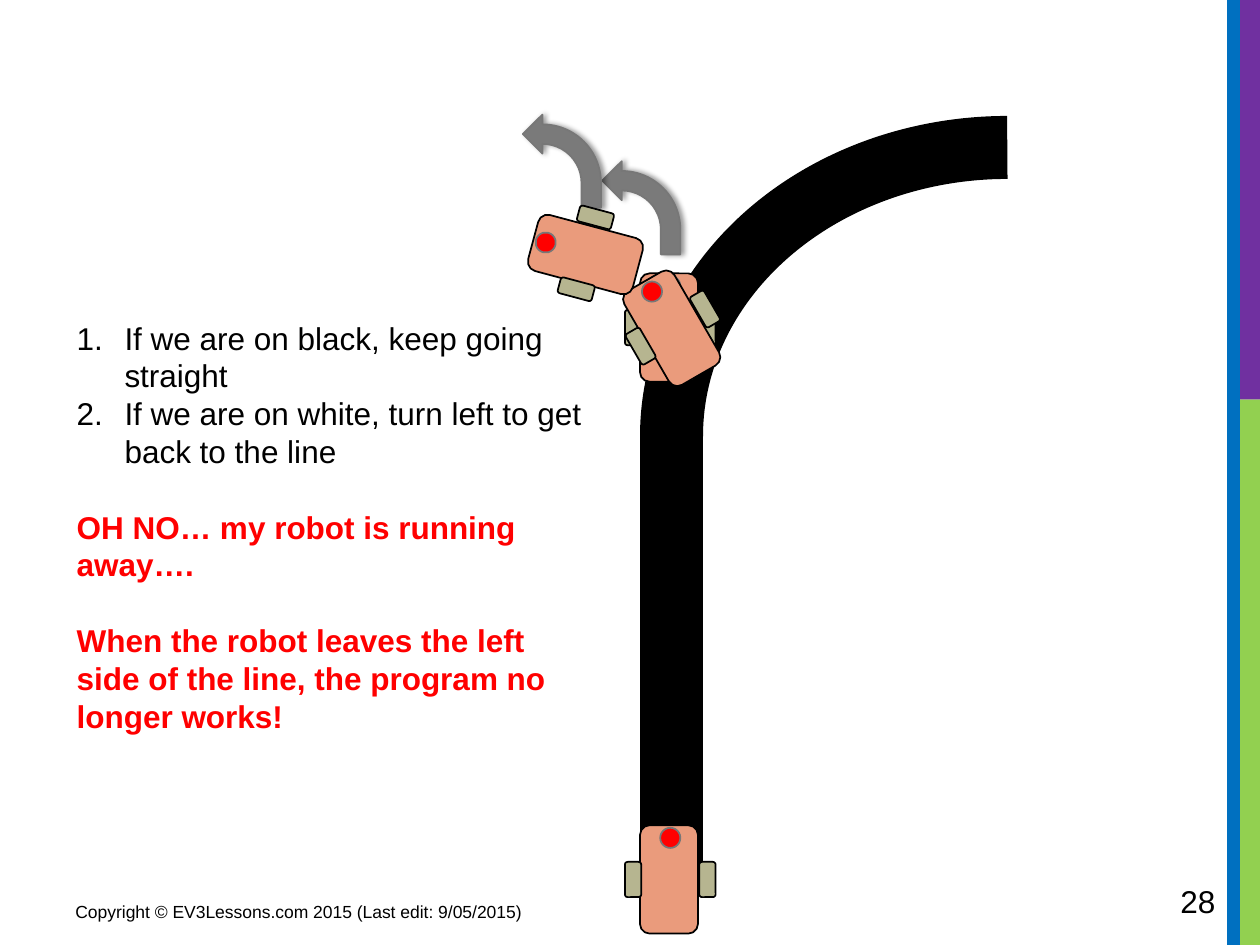
from dataclasses import dataclass
from typing import NamedTuple, Optional

from lxml import etree
from pptx import Presentation
from pptx import util as u
from pptx.dml.color import RGBColor
from pptx.enum import shapes
from pptx.oxml.ns import qn

COLUMNS, ROWS = 100, 75
WIDTH, HEIGHT = u.Inches(10), u.Inches(7.5)


@dataclass(frozen=True)
class Theme:
    font: str = "Arial"
    black: str = "000000"
    red: str = "FF0000"
    green: str = "92D050"
    purple: str = "7030A0"
    blue: str = "0070C0"
    body: str = "EA9B7C"
    wheel: str = "B6B590"
    arrow: str = "7A7A7A"
    outline: str = "777777"
    text_size: float = 18
    footer_size: float = 10
    line_height: float = 21.6
    track_width: float = 36


THEME = Theme()
Kind = shapes.MSO_SHAPE


class Box(NamedTuple):
    column: float
    row: float
    columns: float
    rows: float

    def lengths(self) -> tuple:
        return (x(self.column), y(self.row), x(self.columns), y(self.rows))


class Robot(NamedTuple):
    column: float
    row: float
    rotation: float = 0


class Part(NamedTuple):
    kind: Kind
    box: Box
    fill: str
    line: str


class Line(NamedTuple):
    text: str
    numbered: bool = False
    bold: bool = False
    color: str = THEME.black
    before: float = 0


STRIPES = [
    (Box(98.4, 31.7, 1.6, 43.3), THEME.green),
    (Box(98, 0, 2, 31.7), THEME.purple),
    (Box(97.4, 0, 1, 75), THEME.blue),
]
WHEELS = [
    Part(Kind.ROUNDED_RECTANGLE, Box(column, -1.4, 1.3, 2.8), THEME.wheel, THEME.black)
    for column in (2.3, -3.6)
]
PARTS = [
    Part(Kind.ROUNDED_RECTANGLE, Box(-2.4, -4.3, 4.6, 8.6), THEME.body, THEME.black),
    *WHEELS,
    Part(Kind.OVAL, Box(-0.8, -4.1, 1.6, 1.6), THEME.red, THEME.outline),
]
MESSAGE = [
    Line("If we are on black, keep going straight", numbered=True),
    Line("If we are on white, turn left to get back to the line", numbered=True),
    Line("OH NO… my robot is running away….", bold=True, color=THEME.red,
         before=THEME.line_height),
    Line("When the robot leaves the left side of the line, the program no longer works!",
         bold=True, color=THEME.red, before=THEME.line_height),
]


def x(columns: float) -> int:
    return round(WIDTH * columns / COLUMNS)


def y(rows: float) -> int:
    return round(HEIGHT * rows / ROWS)


def set_line(shape, color: str, width: float) -> None:
    shape.line.color.rgb = RGBColor.from_string(color)
    shape.line.width = u.Pt(width)


def add_shape(parent, kind: Kind, box: Box, fill: Optional[str] = None,
              line: Optional[str] = None, line_width: float = 1, flip: bool = False):
    shape = parent.add_shape(kind, *box.lengths())
    shape.shadow.inherit = False
    if fill:
        shape.fill.solid()
        shape.fill.fore_color.rgb = RGBColor.from_string(fill)
    else:
        shape.fill.background()
    if line:
        set_line(shape, line, line_width)
    else:
        shape.line.fill.background()
    if flip:
        shape.element.spPr.xfrm.set("flipH", "1")
    return shape


def add_track(slide) -> None:
    track = slide.shapes.add_connector(
        shapes.MSO_CONNECTOR.STRAIGHT, x(53.3), y(69.6), x(53.3), y(34.4))
    set_line(track, THEME.black, THEME.track_width)
    etree.SubElement(track.element.spPr, qn("a:effectLst"))
    add_shape(slide.shapes, Kind.ARC, Box(53.3, 11.7, 53.3, 45.8), line=THEME.black,
              line_width=THEME.track_width, flip=True)


def add_robot(slide, robot: Robot) -> None:
    group = slide.shapes.add_group_shape()
    for part in PARTS:
        box = part.box._replace(column=robot.column + part.box.column,
                                row=robot.row + part.box.row)
        add_shape(group.shapes, part.kind, box, part.fill, part.line)
    group.rotation = robot.rotation


def add_turn_arrow(slide, column: float, row: float) -> None:
    arrow = add_shape(slide.shapes, Kind.BENT_ARROW, Box(column, row, 6.2, 7.4),
                      THEME.arrow, THEME.outline, flip=True)
    arrow.adjustments[3] = 0.75
    effects = arrow.element.spPr.find(qn("a:effectLst"))
    shadow = etree.SubElement(effects, qn("a:outerShdw"), blurRad=str(u.Pt(3.1)),
                              dist=str(u.Pt(1.8)), dir="0", rotWithShape="0")
    color = etree.SubElement(shadow, qn("a:srgbClr"), val=THEME.black)
    etree.SubElement(color, qn("a:alpha"), val="40000")


def add_text(slide, box: Box, lines: list, size: float,
             line_height: Optional[float] = None) -> None:
    frame = slide.shapes.add_textbox(*box.lengths()).text_frame
    frame.word_wrap = True
    for index, line in enumerate(lines):
        paragraph = frame.add_paragraph() if index else frame.paragraphs[0]
        if line.numbered:
            properties = paragraph._p.get_or_add_pPr()
            properties.set("marL", str(x(3.8)))
            properties.set("indent", str(-x(3.8)))
            etree.SubElement(properties, qn("a:buAutoNum"), type="arabicPeriod")
        if line_height:
            paragraph.line_spacing = u.Pt(line_height)
        if line.before:
            paragraph.space_before = u.Pt(line.before)
        run = paragraph.add_run()
        run.text = line.text
        run.font.name = THEME.font
        run.font.size = u.Pt(size)
        run.font.bold = line.bold
        run.font.color.rgb = RGBColor.from_string(line.color)


def main() -> None:
    presentation = Presentation()
    presentation.slide_width, presentation.slide_height = WIDTH, HEIGHT
    slide = presentation.slides.add_slide(presentation.slide_layouts[6])
    for box, color in STRIPES:
        add_shape(slide.shapes, Kind.RECTANGLE, box, color)
    add_track(slide)
    add_robot(slide, Robot(53.2, 69.8))
    add_robot(slide, Robot(53.2, 26))
    add_turn_arrow(slide, 47.8, 12.8)
    add_robot(slide, Robot(53.4, 26, 330))
    add_turn_arrow(slide, 41.5, 9.1)
    add_robot(slide, Robot(46.5, 20.1, 285))
    add_text(slide, Box(5.1, 24.8, 42.2, 34.3), MESSAGE, THEME.text_size,
             THEME.line_height)
    add_text(slide, Box(5, 71, 37.5, 3.1),
             [Line("Copyright © EV3Lessons.com 2015 (Last edit: 9/05/2015)")],
             THEME.footer_size)
    add_text(slide, Box(92.7, 69.5, 7.3, 4), [Line("28")], THEME.text_size)
    presentation.save("out.pptx")


if __name__ == "__main__":
    main()
